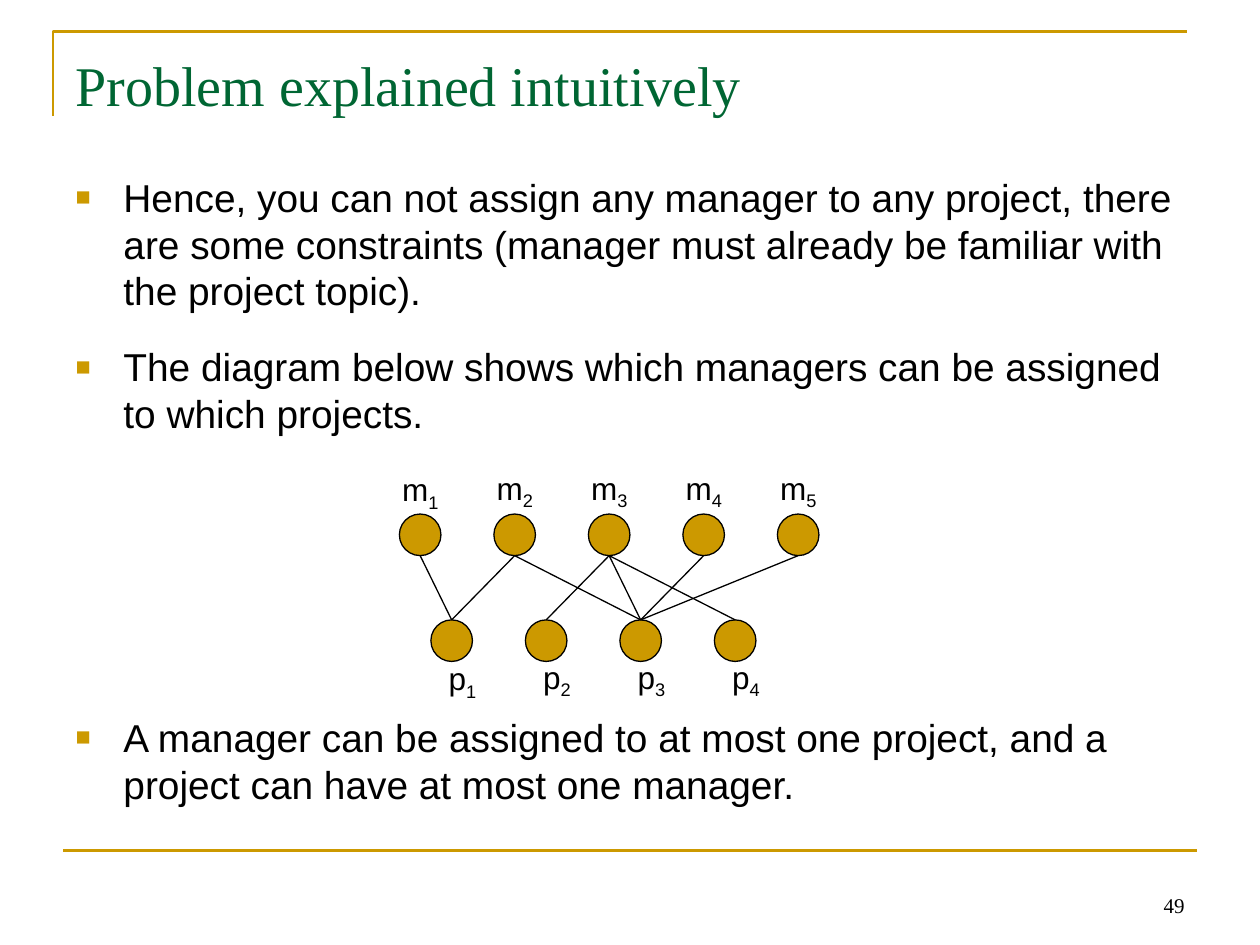
from dataclasses import dataclass

from lxml import etree
from pptx import Presentation
from pptx.dml.color import RGBColor
from pptx.enum.shapes import MSO_CONNECTOR, MSO_SHAPE
from pptx.enum.text import MSO_ANCHOR, MSO_AUTO_SIZE, PP_ALIGN
from pptx.oxml.ns import qn
from pptx.util import Inches, Pt

STRAIGHT = MSO_CONNECTOR.STRAIGHT
ELLIPSE = MSO_SHAPE.OVAL
LEFT, CENTER, RIGHT = PP_ALIGN.LEFT, PP_ALIGN.CENTER, PP_ALIGN.RIGHT
TOP, BOTTOM = MSO_ANCHOR.TOP, MSO_ANCHOR.BOTTOM
NO_FIT = MSO_AUTO_SIZE.NONE


@dataclass(frozen=True)
class Theme:
    gold: str = "CC9900"
    green: str = "006633"
    black: str = "000000"
    serif: str = "Times New Roman"
    sans: str = "Arial"
    title_size: float = 32
    body_size: float = 22.2
    body_pitch: float = 26.6
    label_size: float = 18
    number_size: float = 12
    frame_width: float = 1.5
    graph_width: float = 0.75


def set_all(target, values):
    for name, value in values.items():
        setattr(target, name, value)


class SlideBuilder:
    def __init__(self, page, theme):
        self.page, self.theme = page, theme

    def place(self, box, left, top, width, height):
        set_all(box, {"left": Inches(left), "top": Inches(top),
                      "width": Inches(width), "height": Inches(height)})

    def frame(self, box, **values):
        set_all(box.text_frame, {"auto_size": NO_FIT, "word_wrap": True,
                                 "vertical_anchor": TOP, **values})
        return box.text_frame

    def span(self, para, text, font, size, color):
        span = para.add_run()
        span.text = text
        set_all(span.font, {"name": font, "size": Pt(size)})
        span.font.color.rgb = RGBColor.from_string(color)
        return span

    def stroke(self, line, color, width):
        line.color.rgb = RGBColor.from_string(color)
        line.width = Pt(width)

    def title(self, text, *area):
        box = self.page.shapes.title
        self.place(box, *area)
        para = self.frame(box, margin_top=Inches(0.1)).paragraphs[0]
        para.alignment = LEFT
        self.span(para, text, self.theme.serif, self.theme.title_size, self.theme.green)

    def bullets(self, items, *area):
        theme, box = self.theme, self.page.placeholders[1]
        self.place(box, *area)
        frame = self.frame(box)
        for index, (text, gap) in enumerate(items):
            para = frame.paragraphs[0] if index == 0 else frame.add_paragraph()
            set_all(para, {"alignment": LEFT, "space_before": Pt(gap),
                           "line_spacing": Pt(theme.body_pitch)})
            self.square_bullet(para)
            self.span(para, text, theme.sans, theme.body_size, theme.black)

    def square_bullet(self, para):
        properties = para._p.get_or_add_pPr()
        properties.set("marL", str(Inches(0.38)))
        properties.set("indent", str(-Inches(0.38)))
        color = etree.SubElement(properties, qn("a:buClr"))
        etree.SubElement(color, qn("a:srgbClr"), val=self.theme.gold)
        etree.SubElement(properties, qn("a:buSzPct"), val="65000")
        etree.SubElement(properties, qn("a:buFont"), typeface=self.theme.sans)
        etree.SubElement(properties, qn("a:buChar"), char="■")

    def text(self, text, area, font, size, align, subscript="", **values):
        box = self.page.shapes.add_textbox(*map(Inches, area))
        para = self.frame(box, **values).paragraphs[0]
        para.alignment = align
        self.span(para, text, font, size, self.theme.black)
        if subscript:
            low = self.span(para, subscript, font, size, self.theme.black)
            low.font._element.set("baseline", "-25000")

    def node(self, left, top, size):
        shape = self.page.shapes.add_shape(ELLIPSE, *map(Inches, (left, top, size, size)))
        shape.shadow.inherit = False
        shape.fill.solid()
        shape.fill.fore_color.rgb = RGBColor.from_string(self.theme.gold)
        self.stroke(shape.line, self.theme.black, self.theme.graph_width)

    def line(self, start, end, color, width):
        line = self.page.shapes.add_connector(STRAIGHT, *map(Inches, (*start, *end)))
        self.stroke(line.line, color, width)
        etree.SubElement(line._element.spPr, qn("a:effectLst"))

    def outline(self, points, color, width):
        start, *rest = [tuple(map(Inches, point)) for point in points]
        builder = self.page.shapes.build_freeform(*start)
        builder.add_line_segments(rest, close=False)
        shape = builder.convert_to_shape()
        shape.shadow.inherit = False
        shape.fill.background()
        self.stroke(shape.line, color, width)


# Text with the space before it; the last gap leaves room for the graph
BULLETS = [
    ("Hence, you can not assign any manager to any project, there are some constraints "
     "(manager must already be familiar with the project topic).", 2),
    ("The diagram below shows which managers can be assigned to which projects.", 17),
    ("A manager can be assigned to at most one project, and a project can have "
     "at most one manager.", 158.6),
]

# Graph geometry
NODE, STEP = 0.33, 0.75
MANAGER_LEFT, MANAGER_TOP = 3.17, 4.08
PROJECT_LEFT, PROJECT_TOP = 3.42, 4.92
# Letter, count, node left and top, label left, top and width
ROWS = [
    ("m", 5, MANAGER_LEFT, MANAGER_TOP, 3.09, 3.67, 0.49),
    ("p", 4, PROJECT_LEFT, PROJECT_TOP, 3.46, 5.17, 0.42),
]
# Projects each manager is familiar with
MATCHES = {1: [1], 2: [1, 3], 3: [2, 3, 4], 4: [3], 5: [3]}


def node_center(left, number):
    return left + (number - 1) * STEP + NODE / 2


def main():
    deck = Presentation()
    deck.slide_width, deck.slide_height = Inches(10), Inches(7.5)
    theme = Theme()
    slide = SlideBuilder(deck.slides.add_slide(deck.slide_layouts[1]), theme)

    # Frame and page number
    slide.outline([(0.42, 0.92), (0.42, 0.25), (9.42, 0.25)], theme.gold, theme.frame_width)
    slide.line((0.5, 6.75), (9.5, 6.75), theme.gold, theme.frame_width)
    slide.text("49", (7.17, 6.83, 2.33, 0.5), theme.serif, theme.number_size, RIGHT,
               vertical_anchor=BOTTOM)

    # Title and list
    slide.title("Problem explained intuitively", 0.5, 0.3, 9, 1.25)
    slide.bullets(BULLETS, 0.5, 1.33, 9, 4.95)

    # Managers and projects
    for letter, count, left, top, label_left, label_top, label_width in ROWS:
        for index in range(count):
            shift = index * STEP
            slide.node(left + shift, top, NODE)
            drop = 0.01 if index == 0 else 0
            slide.text(letter, (label_left + shift, label_top + drop, label_width, 0.44),
                       theme.sans, theme.label_size, CENTER, str(index + 1), word_wrap=False)

    # Possible assignments
    for manager, projects in MATCHES.items():
        for project in projects:
            slide.line((node_center(MANAGER_LEFT, manager), MANAGER_TOP + NODE),
                       (node_center(PROJECT_LEFT, project), PROJECT_TOP),
                       theme.black, theme.graph_width)

    deck.save("out.pptx")


if __name__ == "__main__":
    main()
